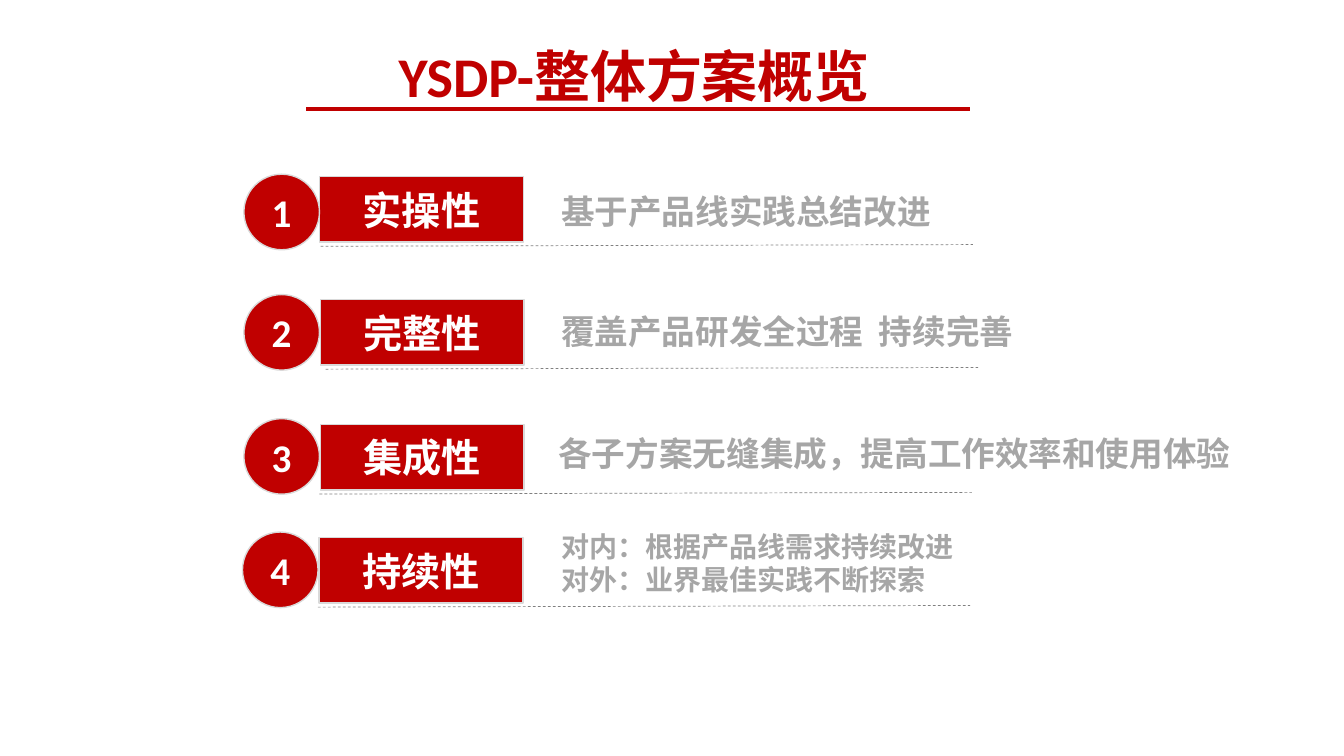
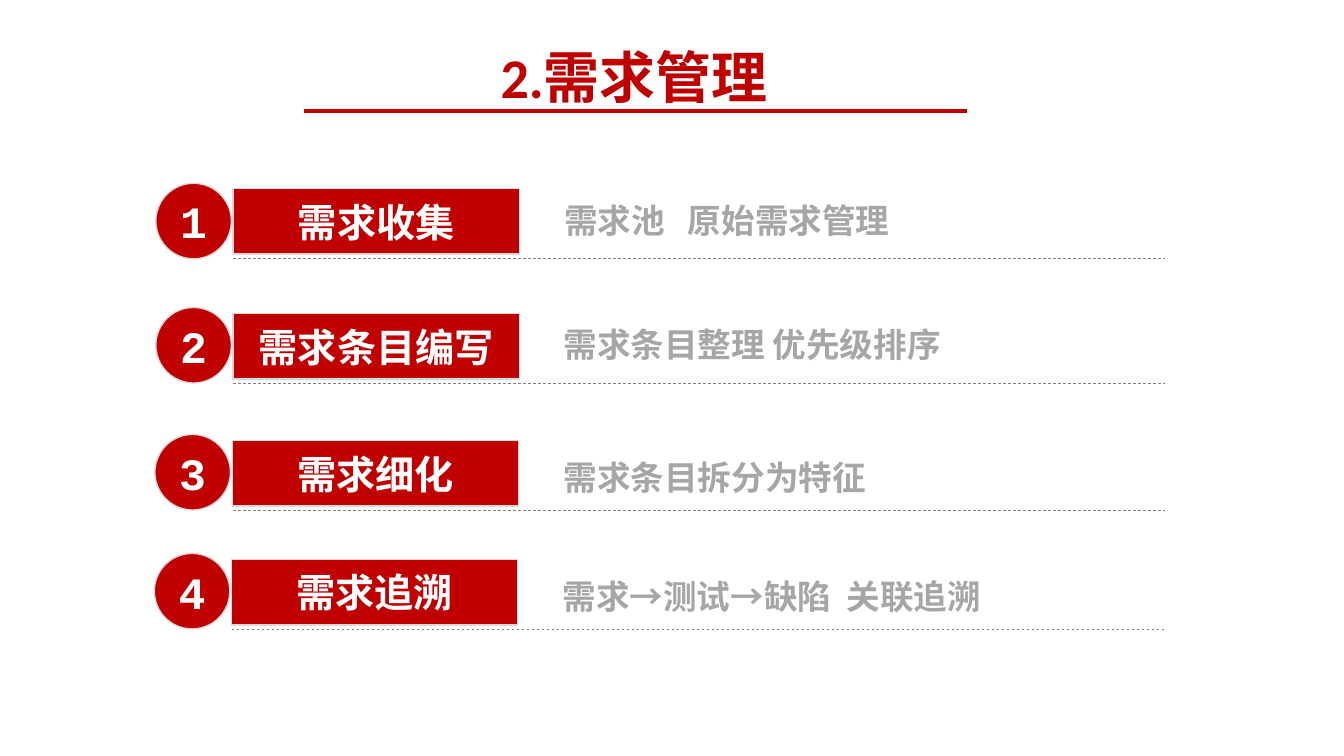
"""Build two overview slides with numbered red labels and grey descriptions."""
from collections import namedtuple

from lxml.etree import SubElement
from pptx import Presentation
from pptx.dml.color import RGBColor
from pptx.enum.dml import MSO_LINE
from pptx.enum.lang import MSO_LANGUAGE_ID
from pptx.enum.shapes import MSO_CONNECTOR, MSO_SHAPE
from pptx.enum.text import MSO_ANCHOR, PP_ALIGN
from pptx.oxml.ns import qn
from pptx.util import Pt

RED = RGBColor(0xC0, 0x00, 0x00)
WHITE = RGBColor(0xFF, 0xFF, 0xFF)
BORDER = RGBColor(0xD9, 0xD9, 0xD9)
TEXT_GREY = RGBColor(0xA6, 0xA6, 0xA6)
RULE_GREY = RGBColor(0x80, 0x80, 0x80)

CIRCLE_SIZE = 54
LABEL_HEIGHT = 46.8
RULE_GAP = 49.7

Row = namedtuple(
    "Row",
    "label description size circle_left circle_top label_left label_top "
    "text_left text_top rule_left",
)

SLIDES = [
    {
        "title": "YSDP-整体方案概览",
        "title_top": 26,
        "underline": (218.9, 77.8),
        "number_font": {"name": "Calibri", "size": Pt(28)},
        "label_width": 145.5,
        "rule": (466, -1.2),
        "rows": [
            Row("实操性", ["基于产品线实践总结改进"], 24,
                174.2, 124.4, 228.3, 126.2, 393.8, 132.5, 229),
            Row("完整性", ["覆盖产品研发全过程  持续完善"], 24,
                174.2, 210.4, 228.8, 214, 393.8, 218.2, 232.6),
            Row("集成性", ["各子方案无缝集成，提高工作效率和使用体验"], 24,
                174.2, 299, 228.8, 303.2, 391.8, 305.7, 228.2),
            Row("持续性", ["对内：根据产品线需求持续改进", "对外：业界最佳实践不断探索"], 20,
                173.2, 380, 228, 384, 393.8, 374.4, 227),
        ],
    },
    {
        "title": "2.需求管理",
        "title_top": 26.8,
        "underline": (217, 79.2),
        "number_font": {"name": "Courier New", "size": Pt(32)},
        "label_width": 204.5,
        "rule": (666, 0),
        "rows": [
            Row("需求收集", ["需求池   原始需求管理"], 24,
                111.3, 130.9, 166.5, 134.7, 396, 139, 166.5),
            Row("需求条目编写", ["需求条目整理 优先级排序"], 24,
                111.3, 219.6, 166.5, 224, 395.5, 227.8, 166.5),
            Row("需求细化", ["需求条目拆分为特征"], 24,
                110.6, 310.3, 166, 314.7, 395.5, 322.6, 166.5),
            Row("需求追溯", ["需求→测试→缺陷  关联追溯"], 24,
                110.2, 395.3, 165.4, 399.6, 394.8, 407.6, 165.4),
        ],
    },
]


def write_text(shape, lines, color, font_format, alignment):
    frame = shape.text_frame
    frame.word_wrap = True
    frame.text = "\n".join(lines)
    formats = {
        "name": "Calibri",
        "bold": True,
        "language_id": MSO_LANGUAGE_ID.SIMPLIFIED_CHINESE,
        **font_format,
    }
    for paragraph in frame.paragraphs:
        paragraph.alignment = alignment
        for run in paragraph.runs:
            for name, value in formats.items():
                setattr(run.font, name, value)
            run.font.color.rgb = color


def add_text(slide, bounds, lines, color, size, alignment):
    box = slide.shapes.add_textbox(*map(Pt, bounds))
    write_text(box, lines, color, {"size": Pt(size)}, alignment)


def add_badge(slide, kind, bounds, text, font_format):
    shape = slide.shapes.add_shape(kind, *map(Pt, bounds))
    shape.shadow.inherit = False
    shape.fill.solid()
    shape.fill.fore_color.rgb = RED
    shape.line.color.rgb = BORDER
    shape.line.width = Pt(1)
    shape.text_frame.vertical_anchor = MSO_ANCHOR.MIDDLE
    write_text(shape, [text], WHITE, font_format, PP_ALIGN.CENTER)


def add_rule(slide, left, top, width, rise, color, weight, dash=None):
    line = slide.shapes.add_connector(
        MSO_CONNECTOR.STRAIGHT, Pt(left), Pt(top), Pt(left + width), Pt(top + rise)
    )
    SubElement(line._element.spPr, qn("a:effectLst"))
    line.line.color.rgb = color
    line.line.width = Pt(weight)
    if dash:
        line.line.dash_style = dash


def add_row(slide, number, row, content):
    add_badge(
        slide, MSO_SHAPE.RECTANGLE,
        (row.label_left, row.label_top, content["label_width"], LABEL_HEIGHT),
        row.label, {"size": Pt(28)},
    )
    add_badge(
        slide, MSO_SHAPE.OVAL,
        (row.circle_left, row.circle_top, CIRCLE_SIZE, CIRCLE_SIZE),
        str(number), content["number_font"],
    )
    add_rule(slide, row.rule_left, row.label_top + RULE_GAP, *content["rule"],
             RULE_GREY, 0.5, MSO_LINE.DASH)
    add_text(
        slide, (row.text_left, row.text_top, 520, 44 * len(row.description)),
        row.description, TEXT_GREY, row.size, PP_ALIGN.LEFT,
    )


def add_overview(presentation, content):
    slide = presentation.slides.add_slide(presentation.slide_layouts[6])
    add_text(slide, (147, content["title_top"], 612, 66), [content["title"]],
             RED, 40, PP_ALIGN.CENTER)
    add_rule(slide, *content["underline"], 474, 0, RED, 3)
    for number, row in enumerate(content["rows"], 1):
        add_row(slide, number, row, content)


def main():
    presentation = Presentation()
    presentation.slide_width = Pt(960)
    presentation.slide_height = Pt(540)
    for content in SLIDES:
        add_overview(presentation, content)
    presentation.save("out.pptx")


if __name__ == "__main__":
    main()
